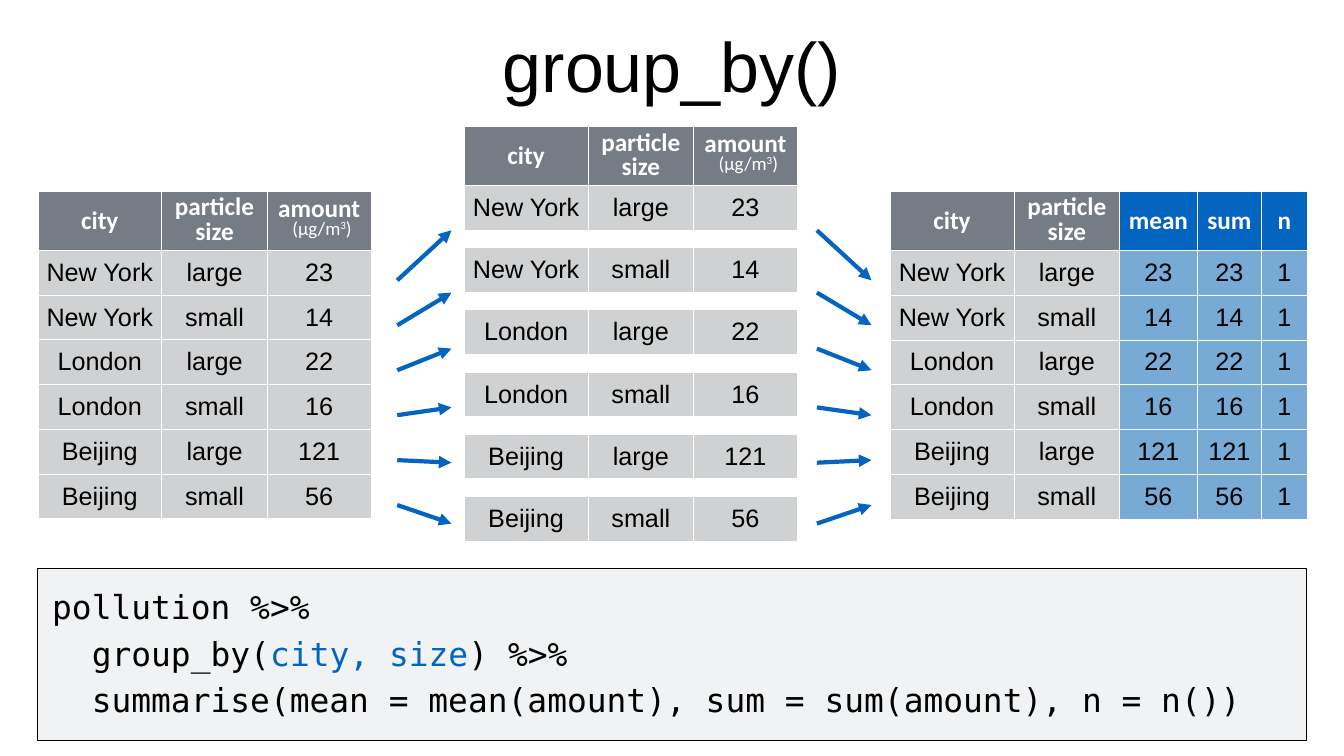
from dataclasses import dataclass
from typing import NamedTuple

from lxml.etree import SubElement
from pptx import Presentation
from pptx.dml.color import RGBColor
from pptx.enum.shapes import MSO_CONNECTOR, MSO_SHAPE
from pptx.enum.text import MSO_ANCHOR, PP_ALIGN
from pptx.oxml.ns import qn
from pptx.slide import Slide
from pptx.table import _Cell
from pptx.text.text import Font, TextFrame
from pptx.util import Pt


@dataclass(frozen=True)
class Theme:
    black: str = "000000"
    white: str = "FFFFFF"
    blue: str = "0365C0"
    light_blue: str = "78AAD6"
    slate: str = "767C85"
    gray: str = "D0D1D2"
    panel: str = "F0F2F4"
    title_size: float = 100
    cell_size: float = 36
    unit_size: float = 27
    code_size: float = 47
    body_font: str = "Arial"
    header_font: str = "Calibri"
    code_font: str = "DejaVu Sans Mono"


class Column(NamedTuple):
    heading: str
    width: float
    header_fill: str
    fill: str


class Measurement(NamedTuple):
    city: str
    size: str
    amount: str


class TableBlock(NamedTuple):
    left: float
    top: float
    columns: list[Column]
    rows: list[tuple[str, ...]]
    has_header: bool = False


class Arrow(NamedTuple):
    start_x: float
    start_y: float
    end_x: float
    end_y: float


THEME = Theme()
HEADER_HEIGHT = 84
ROW_HEIGHT = 64
INSET = 4.5
AMOUNT = "amount"
PARTICLE_SIZE = "particle\vsize"

KEY_COLUMNS = [
    Column("city", 177, THEME.slate, THEME.gray),
    Column(PARTICLE_SIZE, 151, THEME.slate, THEME.gray),
]
SOURCE_COLUMNS = KEY_COLUMNS + [Column(AMOUNT, 148, THEME.slate, THEME.gray)]
SUMMARY_COLUMNS = KEY_COLUMNS + [
    Column(heading, width, THEME.blue, THEME.light_blue)
    for heading, width in (("mean", 111), ("sum", 91.5), ("n", 65.5))
]
MEASUREMENTS = [
    Measurement("New York", "large", "23"),
    Measurement("New York", "small", "14"),
    Measurement("London", "large", "22"),
    Measurement("London", "small", "16"),
    Measurement("Beijing", "large", "121"),
    Measurement("Beijing", "small", "56"),
]
SUMMARIES = [(item.city, item.size, item.amount, item.amount, "1") for item in MEASUREMENTS]
GROUP_ARROW_HEIGHTS = [329, 418, 498, 582, 661, 748]
CODE_LINES = [
    ["pollution %>%"],
    ["  group_by(", "city, size", ") %>%"],
    ["  summarise(mean = mean(amount), sum = sum(amount), n = n())"],
]


def style_font(font: Font, name: str, size: float, color: str, bold: bool = False) -> None:
    font.name = name
    font.size = Pt(size)
    font.bold = bold
    font.color.rgb = RGBColor.from_string(color)


def set_insets(frame: TextFrame) -> None:
    frame.margin_left = frame.margin_right = Pt(INSET)
    frame.margin_top = frame.margin_bottom = Pt(INSET)


def add_borders(cell: _Cell) -> None:
    properties = cell._tc.get_or_add_tcPr()
    for side in ("lnL", "lnR", "lnT", "lnB"):
        border = SubElement(properties, qn(f"a:{side}"), w=str(Pt(1)))
        fill = SubElement(border, qn("a:solidFill"))
        SubElement(fill, qn("a:srgbClr"), val=THEME.white)


def add_unit(frame: TextFrame) -> None:
    paragraph = frame.add_paragraph()
    for text, size in ((" ", THEME.cell_size), ("(µg/m", THEME.unit_size),
                       ("3", THEME.unit_size), (")", THEME.unit_size)):
        run = paragraph.add_run()
        run.text = text
        style_font(run.font, THEME.header_font, size, THEME.white)
        if text == "3":
            run._r.get_or_add_rPr().set("baseline", "32000")


def fill_cell(cell: _Cell, text: str, fill: str, is_header: bool) -> None:
    add_borders(cell)
    cell.fill.solid()
    cell.fill.fore_color.rgb = RGBColor.from_string(fill)
    cell.vertical_anchor = MSO_ANCHOR.MIDDLE
    set_insets(cell)
    frame = cell.text_frame
    frame.text = text
    for run in frame.paragraphs[0].runs:
        if is_header:
            style_font(run.font, THEME.header_font, THEME.cell_size, THEME.white, True)
        else:
            style_font(run.font, THEME.body_font, THEME.cell_size, THEME.black)
    if text == AMOUNT:
        add_unit(frame)
    for paragraph in frame.paragraphs:
        paragraph.alignment = PP_ALIGN.CENTER
        if text in (AMOUNT, PARTICLE_SIZE):
            paragraph.line_spacing = 0.6 if text == AMOUNT else 0.8


def draw_table(slide: Slide, block: TableBlock) -> None:
    headings = [tuple(column.heading for column in block.columns)]
    rows = headings * block.has_header + block.rows
    heights = [HEADER_HEIGHT] * block.has_header + [ROW_HEIGHT] * len(block.rows)
    width = sum(column.width for column in block.columns)
    table = slide.shapes.add_table(len(rows), len(block.columns), Pt(block.left), Pt(block.top),
                                   Pt(width), Pt(sum(heights))).table
    table.first_row = table.horz_banding = False
    for index, column in enumerate(block.columns):
        table.columns[index].width = Pt(column.width)
    for row_index, (row, height) in enumerate(zip(rows, heights)):
        table.rows[row_index].height = Pt(height)
        is_header = block.has_header and row_index == 0
        for index, (text, column) in enumerate(zip(row, block.columns)):
            fill = column.header_fill if is_header else column.fill
            fill_cell(table.cell(row_index, index), text, fill, is_header)


def draw_arrow(slide: Slide, arrow: Arrow) -> None:
    connector = slide.shapes.add_connector(MSO_CONNECTOR.STRAIGHT, *(Pt(value) for value in arrow))
    connector.line.width = Pt(6)
    connector.line.color.rgb = RGBColor.from_string(THEME.blue)
    SubElement(connector.line._get_or_add_ln(), qn("a:tailEnd"), type="triangle")
    SubElement(connector._element.spPr, qn("a:effectLst"))


def draw_title(slide: Slide) -> None:
    title = slide.shapes.title
    title.left, title.top, title.width, title.height = Pt(315.5), Pt(-1.5), Pt(1289), Pt(188.5)
    frame = title.text_frame
    frame.text = "group_by()"
    frame.vertical_anchor = MSO_ANCHOR.MIDDLE
    set_insets(frame)
    frame.paragraphs[0].alignment = PP_ALIGN.CENTER
    style_font(frame.paragraphs[0].runs[0].font, THEME.body_font, THEME.title_size, THEME.black)


def draw_code(slide: Slide) -> None:
    panel = slide.shapes.add_shape(MSO_SHAPE.RECTANGLE, Pt(53.5), Pt(812), Pt(1813), Pt(245.5))
    panel.shadow.inherit = False
    panel.fill.solid()
    panel.fill.fore_color.rgb = RGBColor.from_string(THEME.panel)
    panel.line.color.rgb = RGBColor.from_string(THEME.black)
    panel.line.width = Pt(1)
    frame = slide.shapes.add_textbox(Pt(70), Pt(834), Pt(1790), Pt(229.5)).text_frame
    frame.word_wrap = True
    set_insets(frame)
    for index, parts in enumerate(CODE_LINES):
        paragraph = frame.add_paragraph() if index else frame.paragraphs[0]
        if index:
            paragraph.space_before = Pt(10)
        for text in parts:
            run = paragraph.add_run()
            run.text = text
            color = THEME.blue if text == "city, size" else THEME.black
            style_font(run.font, THEME.code_font, THEME.code_size, color)


def main() -> None:
    presentation = Presentation()
    presentation.slide_width, presentation.slide_height = Pt(1920), Pt(1080)
    slide = presentation.slides.add_slide(presentation.slide_layouts[5])
    draw_title(slide)
    draw_code(slide)

    blocks = [TableBlock(1271.5, 273.5, SUMMARY_COLUMNS, SUMMARIES, True)]
    for index, top in enumerate((273.5, 485, 613)):
        pair = MEASUREMENTS[2 * index:2 * index + 2]
        blocks.append(TableBlock(54, top, SOURCE_COLUMNS, pair, index == 0))
    for index, measurement in enumerate(MEASUREMENTS):
        top = 265 + 88.75 * index if index else 181
        blocks.append(TableBlock(663, top, SOURCE_COLUMNS, [measurement], index == 0))
    for block in blocks:
        draw_table(slide, block)

    for index, group_y in enumerate(GROUP_ARROW_HEIGHTS):
        row_y = 400.5 + 64.2 * index
        draw_arrow(slide, Arrow(567.5, row_y, 645, group_y))
        draw_arrow(slide, Arrow(1167, group_y, 1245, row_y))
    presentation.save("out.pptx")


if __name__ == "__main__":
    main()
